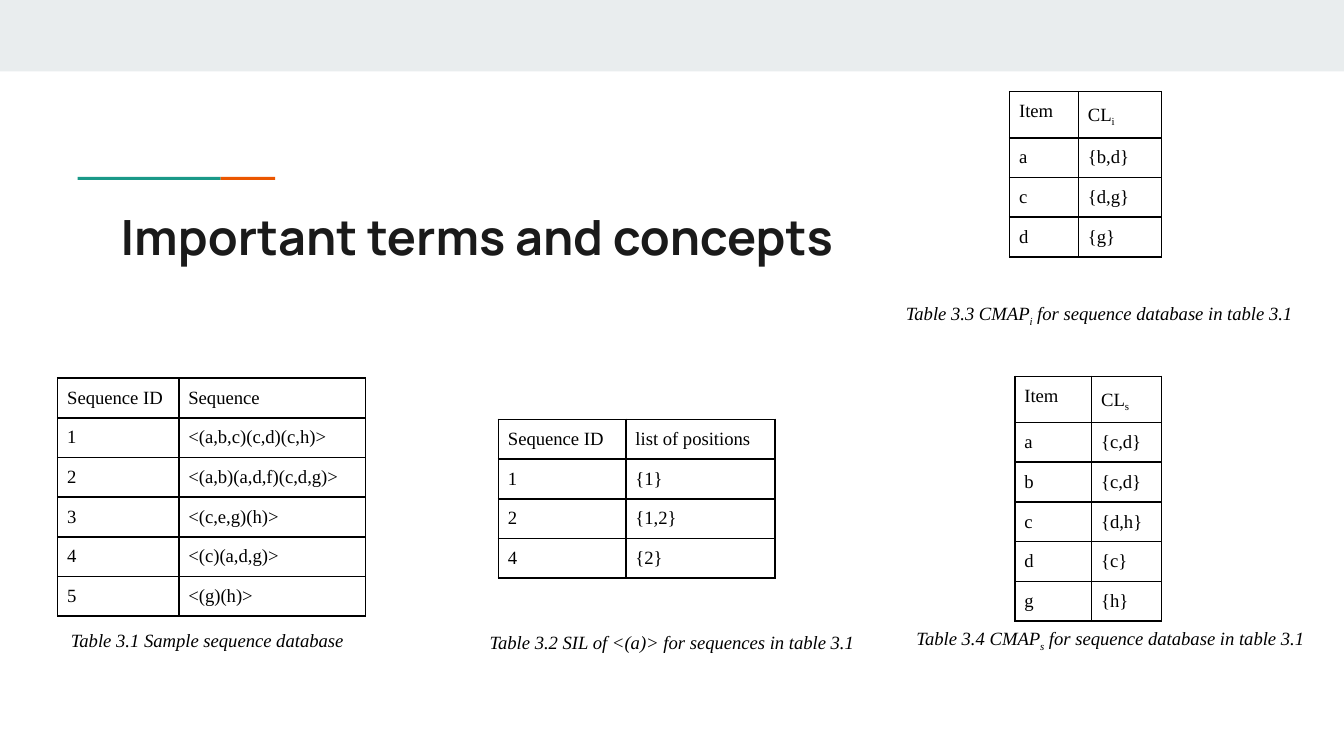
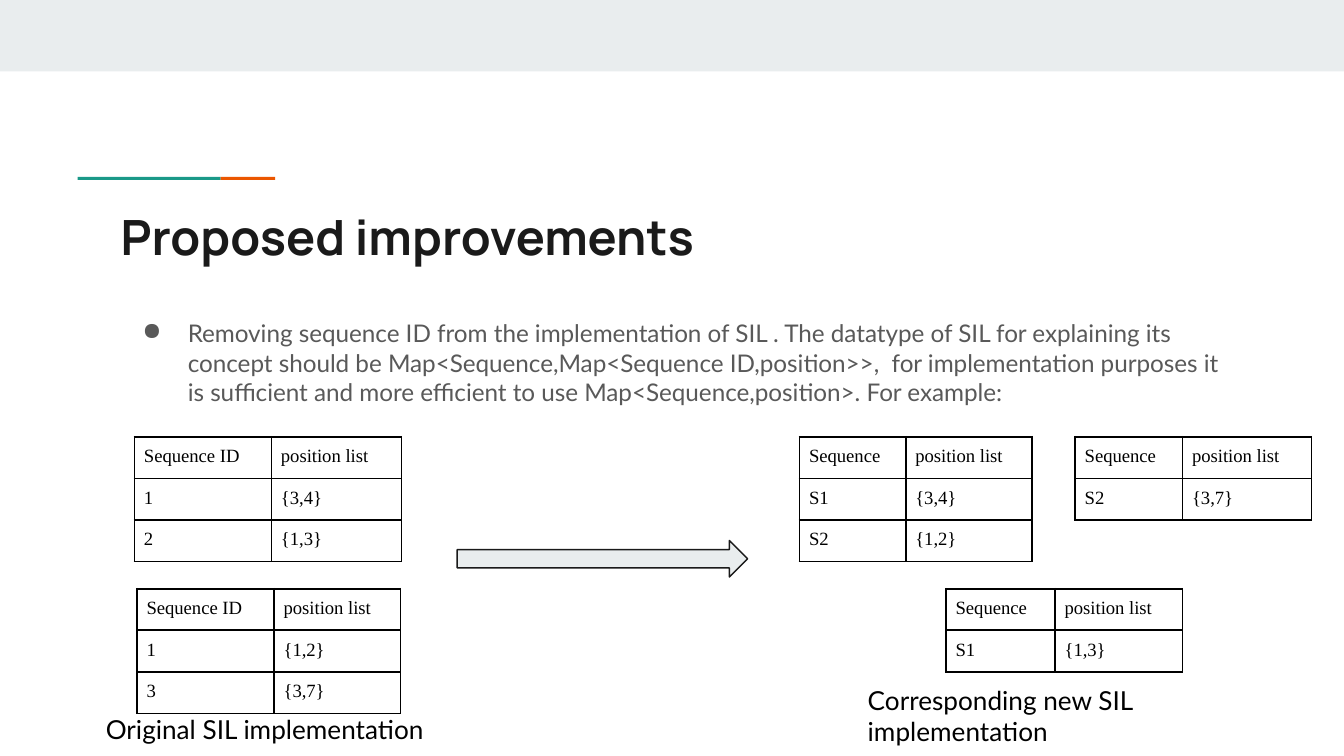
from lxml.etree import SubElement, Element
from pptx import Presentation
from pptx.dml.color import RGBColor
from pptx.enum.shapes import MSO_SHAPE as Preset
from pptx.enum.text import MSO_ANCHOR as Anchor, MSO_AUTO_SIZE as AutoSize, PP_ALIGN as Align
from pptx.oxml.ns import qn
from pptx.util import Cm, Pt

BAND = RGBColor(0xE9, 0xED, 0xEE)
GREEN = RGBColor(0x1A, 0x99, 0x88)
ORANGE = RGBColor(0xEB, 0x56, 0x00)
INK = RGBColor(0x1A, 0x1A, 0x1A)
GREY = RGBColor(0x59, 0x59, 0x59)
BLACK = RGBColor(0, 0, 0)
SERIF, SANS, HEADING = "Times New Roman", "Lato", "Manrope"
ROW, HEADER_WITH_INDEX = 0.74, 0.85


def write(frame, text, font, size, color, bold=False, italic=False, inset=0.25):
    frame.word_wrap = True
    frame.margin_left = frame.margin_right = Cm(inset)
    frame.margin_top = frame.margin_bottom = Cm(inset)
    line = frame.paragraphs[0]
    line.alignment = Align.LEFT
    for position, part in enumerate(text.split("_")):
        run = line.add_run()
        run.text = part
        if position % 2:
            run.font._element.set("baseline", "-25000")
    line.font.name, line.font.size = font, Pt(size)
    line.font.bold, line.font.italic = bold, italic
    line.font.color.rgb = color
    return line


def add_grid(slide, left, top, widths, rows):
    heights = [HEADER_WITH_INDEX if "_" in "".join(row) else ROW for row in rows]
    grid = slide.shapes.add_table(len(rows), len(widths), Cm(left), Cm(top),
                                  Cm(sum(widths)), Cm(sum(heights))).table
    grid.first_row = grid.horz_banding = False
    for column, width in zip(grid.columns, widths):
        column.width = Cm(width)
    for row, height, values in zip(grid.rows, heights, rows):
        row.height = Cm(height)
        for cell, value in zip(row.cells, values):
            line = write(cell.text_frame, value, SERIF, 10, BLACK)
            if "_" in value:
                line.line_spacing = 1.15
            cell.margin_left = cell.margin_right = Cm(0.18)
            cell.margin_top = cell.margin_bottom = Cm(0.18)
            properties = cell._tc.get_or_add_tcPr()
            for side in ("lnL", "lnR", "lnT", "lnB"):
                border = SubElement(properties, qn(f"a:{side}"), w=str(Pt(1)))
                fill = SubElement(border, qn("a:solidFill"))
                SubElement(fill, qn("a:srgbClr"), val=str(BLACK))
            cell.fill.background()


deck = Presentation()
deck.slide_width, deck.slide_height = Cm(25.4), Cm(14.28)

slides = []
for heading in ("Important terms and concepts", "Proposed improvements"):
    slide = deck.slides.add_slide(deck.slide_layouts[5])
    for left, top, width, height, color in (
        (0, 0, 25.4, 1.35, BAND),
        (1.47, 3.34, 2.7, 0.06, GREEN),
        (4.17, 3.34, 1.03, 0.06, ORANGE),
    ):
        bar = slide.shapes.add_shape(Preset.RECTANGLE, Cm(left), Cm(top), Cm(width), Cm(height))
        bar.shadow.inherit = False
        bar.fill.solid()
        bar.fill.fore_color.rgb = color
        bar.line.fill.background()
    title = slide.shapes.title
    title.left, title.top, title.width, title.height = Cm(2.03), Cm(3.66), Cm(21.36), Cm(1.5)
    title.text_frame.auto_size = AutoSize.NONE
    title.text_frame.vertical_anchor = Anchor.TOP
    write(title.text_frame, heading, HEADING, 26, INK, bold=True)
    slides.append(slide)

terms, improvements = slides

add_grid(terms, 1.09, 7.14, (2.29, 3.53), [
    ("Sequence ID", "Sequence"),
    ("1", "<(a,b,c)(c,d)(c,h)>"),
    ("2", "<(a,b)(a,d,f)(c,d,g)>"),
    ("3", "<(c,e,g)(h)>"),
    ("4", "<(c)(a,d,g)>"),
    ("5", "<(g)(h)>"),
])
add_grid(terms, 9.42, 7.92, (2.41, 2.82), [
    ("Sequence ID", "list of positions"), ("1", "{1}"), ("2", "{1,2}"), ("4", "{2}"),
])
add_grid(terms, 19.08, 1.73, (1.3, 1.57), [
    ("Item", "CL_i"), ("a", "{b,d}"), ("c", "{d,g}"), ("d", "{g}"),
])
add_grid(terms, 19.18, 7.11, (1.45, 1.32), [
    ("Item", "CL_s"), ("a", "{c,d}"), ("b", "{c,d}"), ("c", "{d,h}"), ("d", "{c}"), ("g", "{h}"),
])

for left, middle, text, alignment, spacing in (
    (1.09, 12.09, "Table 3.1 Sample sequence database", Align.LEFT, 1),
    (8.53, 12.09, "Table 3.2 SIL of <(a)> for sequences in table 3.1", Align.CENTER, 1.15),
    (16.87, 5.94, "Table 3.3 CMAP_i_ for sequence database in table 3.1", Align.LEFT, 1),
    (17.07, 12.09, "Table 3.4 CMAP_s_ for sequence database in table 3.1", Align.LEFT, 1),
):
    caption = terms.shapes.add_textbox(Cm(left), Cm(middle - 0.5), Cm(8.33), Cm(1)).text_frame
    caption.vertical_anchor = Anchor.MIDDLE
    line = write(caption, text, SERIF, 10, BLACK, italic=True)
    line.alignment, line.line_spacing = alignment, spacing

proposal = improvements.shapes.add_textbox(Cm(2.03), Cm(5.77), Cm(21.36), Cm(2.2))
line = write(
    proposal.text_frame,
    "Removing sequence ID from the implementation of SIL . The datatype of SIL for explaining "
    "its concept should be Map<Sequence,Map<Sequence ID,position>>,  for implementation purposes "
    "it is sufficient and more efficient to use Map<Sequence,position>. For example:",
    SANS, 13, GREY)
indents = line._p.get_or_add_pPr()
indents.set("marL", str(Cm(1.27)))
indents.set("indent", str(Cm(-0.86)))
bullet_color = Element(qn("a:buClr"))
SubElement(bullet_color, qn("a:srgbClr"), val=str(GREY))
indents.insert(0, bullet_color)
indents.insert(1, Element(qn("a:buChar"), char="●"))

by_id, by_sequence = ("Sequence ID", "position list"), ("Sequence", "position list")
upper, lower = 8.25, 11.12
add_grid(improvements, 2.54, upper, (2.59, 2.46), [by_id, ("1", "{3,4}"), ("2", "{1,3}")])
add_grid(improvements, 2.59, lower, (2.59, 2.39), [by_id, ("1", "{1,2}"), ("3", "{3,7}")])
add_grid(improvements, 15.11, upper, (2.01, 2.39), [by_sequence, ("S1", "{3,4}"), ("S2", "{1,2}")])
add_grid(improvements, 17.88, lower, (2.06, 2.41), [by_sequence, ("S1", "{1,3}")])
add_grid(improvements, 20.32, upper, (2.03, 2.44), [by_sequence, ("S2", "{3,7}")])

for left, top, text in (
    (1.75, 13.23, "Original SIL implementation"),
    (16.15, 12.67, "Corresponding new SIL implementation"),
):
    label = improvements.shapes.add_textbox(Cm(left), Cm(top), Cm(6.63), Cm(0.69))
    write(label.text_frame, text, SANS, 14, BLACK)

arrow = improvements.shapes.add_shape(Preset.RIGHT_ARROW, Cm(8.64), Cm(10.21), Cm(5.49), Cm(0.69))
arrow.shadow.inherit = False
arrow.fill.solid()
arrow.fill.fore_color.rgb = BAND
arrow.line.color.rgb = INK
arrow.line.width = Pt(0.75)

deck.save("out.pptx")
